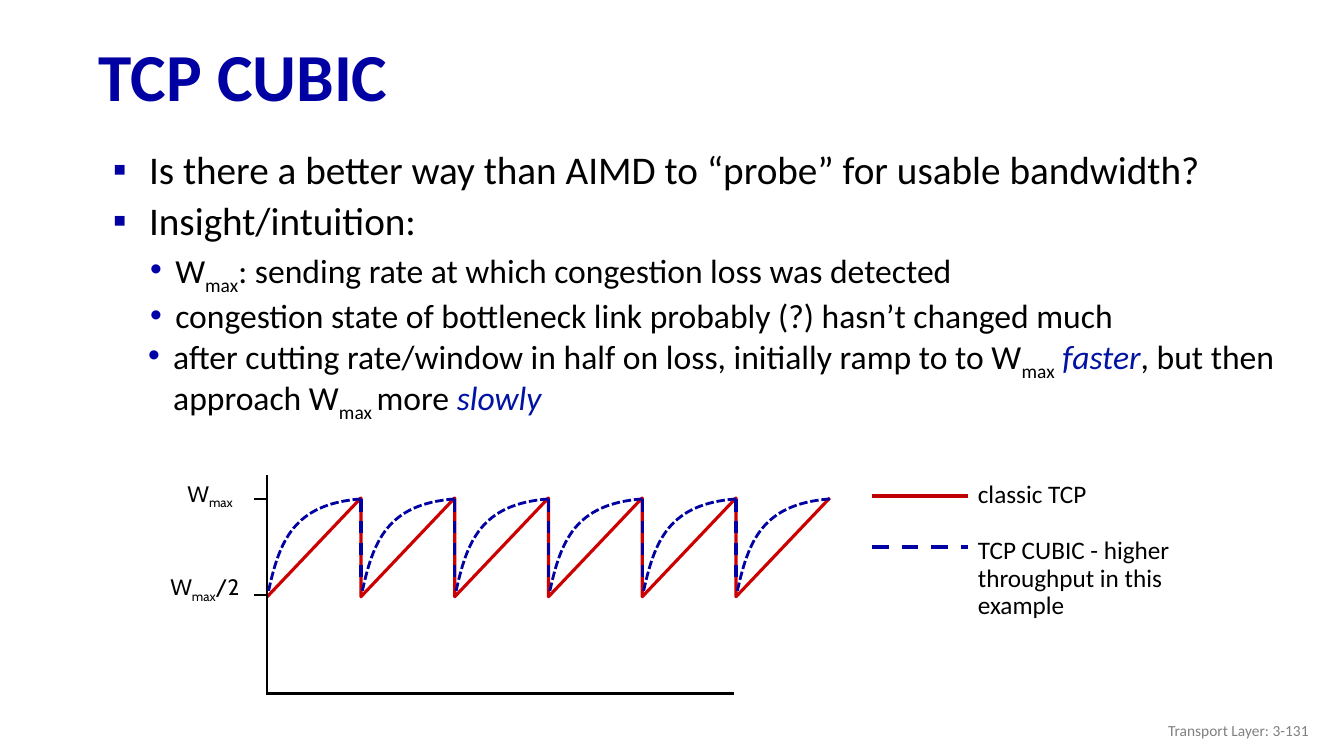
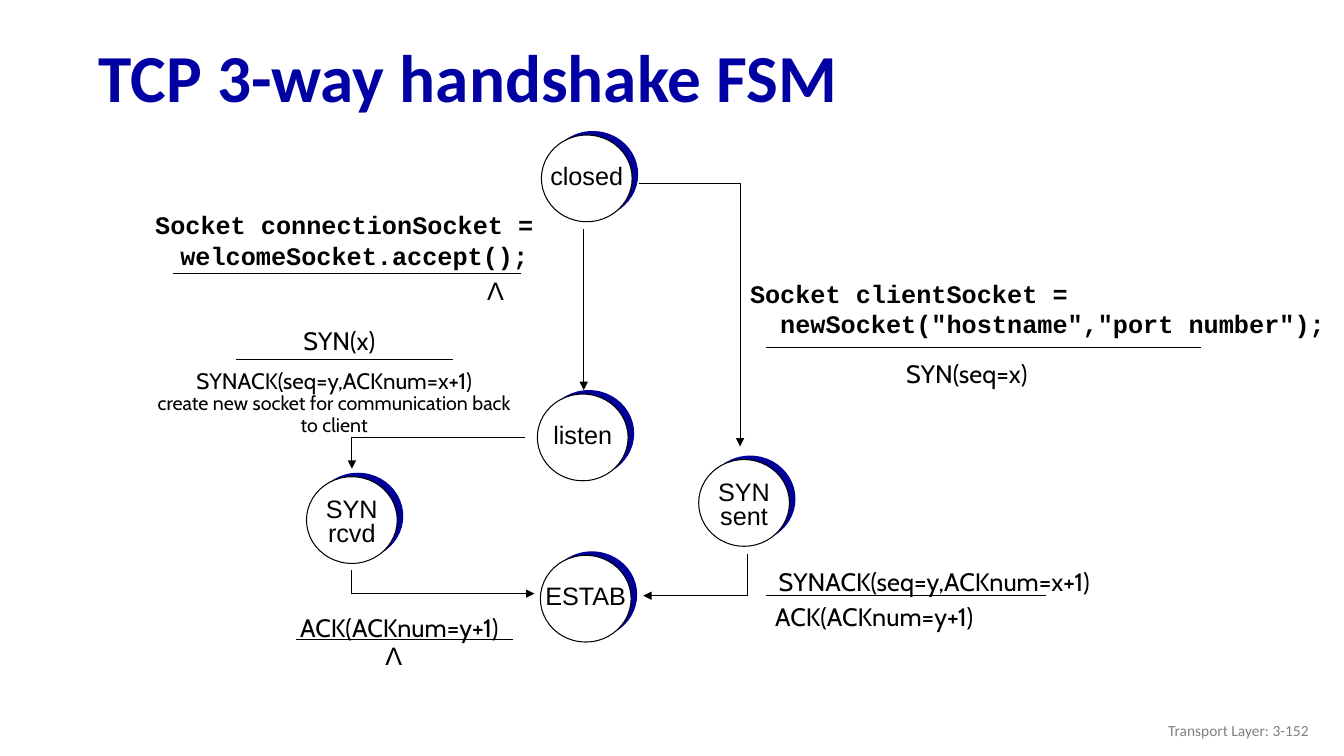
"""Build two transport-layer slides: TCP CUBIC and the TCP 3-way handshake FSM."""
from dataclasses import dataclass
from typing import NamedTuple, Optional

from lxml import etree
from pptx import Presentation
from pptx import util as u
from pptx.dml.color import RGBColor
from pptx.enum import dml, shapes, text
from pptx.oxml.ns import qn

COLORS = {
    "title": "0000A3", "sub_bullet": "0000A8", "emphasis": "0013A3",
    "ink": "000000", "paper": "FFFFFF", "footer": "808080",
    "classic": "CC0000", "classic_key": "C00000", "cubic": "0000A3",
    "state_shadow": "000099",
}
LEFT, CENTER, RIGHT = text.PP_ALIGN.LEFT, text.PP_ALIGN.CENTER, text.PP_ALIGN.RIGHT
DASH, SHORT_DASH = dml.MSO_LINE.DASH, dml.MSO_LINE.SQUARE_DOT
Point = tuple[float, float]


class Box(NamedTuple):
    left: float
    top: float
    width: float
    height: float

    def emu(self) -> list:
        return [u.Inches(side) for side in self]


class Run(NamedTuple):
    text: str
    subscript: bool = False
    emphasis: bool = False


class Bullet(NamedTuple):
    char: str
    color: str
    size: float
    margin: float
    hanging: float
    level: int
    before: float


@dataclass
class Para:
    runs: list[Run]
    bullet: Optional[Bullet] = None
    size: Optional[float] = None


@dataclass
class Label:
    box: Box
    words: str
    font: str = "Cabin"


@dataclass
class State:
    name: str
    left: float
    top: float


MAIN = Bullet("▪", "title", 28, 0.5, 0.36, 0, 10)
SUB = Bullet("•", "sub_bullet", 24, 0.76, 0.25, 1, 5)
W, MAX = Run("W"), Run("max", subscript=True)


def rgb(name: str) -> RGBColor:
    return RGBColor.from_string(COLORS[name])


def plain(words: str) -> list[Para]:
    return [Para([Run(line)]) for line in words.split("\n")]


def add_bullet(paragraph, bullet: Bullet) -> None:
    paragraph.level = bullet.level
    properties = paragraph._p.get_or_add_pPr()
    color = etree.SubElement(properties, qn("a:buClr"))
    etree.SubElement(color, qn("a:srgbClr")).set("val", COLORS[bullet.color])
    etree.SubElement(properties, qn("a:buFont")).set("typeface", "Arial")
    etree.SubElement(properties, qn("a:buChar")).set("char", bullet.char)


def write(frame, paras: list[Para], *, size: float = 18, font: str = "Calibri",
          color: str = "ink", bold: bool = False, align=LEFT, spacing: float = 1.0,
          anchor=text.MSO_ANCHOR.TOP, wrap: bool = True, grow: bool = False,
          hanging: float = 0) -> None:
    frame.word_wrap = wrap
    fit = text.MSO_AUTO_SIZE
    frame.auto_size = fit.SHAPE_TO_FIT_TEXT if grow else fit.NONE
    frame.vertical_anchor = anchor
    for index, para in enumerate(paras):
        paragraph = frame.add_paragraph() if index else frame.paragraphs[0]
        bullet = para.bullet
        margin, indent = (bullet.margin, bullet.hanging) if bullet else (hanging, hanging)
        if bullet:
            add_bullet(paragraph, bullet)
        if indent:
            properties = paragraph._p.get_or_add_pPr()
            properties.set("marL", str(u.Inches(margin)))
            properties.set("indent", str(-u.Inches(indent)))
        paragraph.alignment = align
        paragraph.line_spacing = spacing
        paragraph.space_before = u.Pt(bullet.before if bullet and index else 0)
        for part in para.runs:
            run = paragraph.add_run()
            run.text = part.text
            run.font.size = u.Pt(para.size or (bullet.size if bullet else size))
            run.font.name = font
            run.font.bold = bold
            run.font.color.rgb = rgb("emphasis" if part.emphasis else color)
            if part.emphasis:
                run.font.italic = True
            if part.subscript:
                run._r.get_or_add_rPr().set("baseline", "-25000")


def add_text(slide, box: Box, paras: list[Para], **style) -> None:
    write(slide.shapes.add_textbox(*box.emu()).text_frame, paras, **style)


def add_label(slide, label: Label) -> None:
    add_text(slide, label.box, plain(label.words), font=label.font,
             align=CENTER, wrap=False, grow=True)


def format_line(stroke, color: str, width: float, dash, arrow: bool) -> None:
    stroke.line.color.rgb = rgb(color)
    stroke.line.width = u.Pt(width)
    if dash is not None:
        stroke.line.dash_style = dash
    if arrow:
        outline = stroke._element.spPr.find(qn("a:ln"))
        etree.SubElement(outline, qn("a:tailEnd")).set("type", "triangle")


def add_line(slide, start: Point, end: Point, color: str = "ink", width: float = 0.75,
             dash=None, arrow: bool = False) -> None:
    ends = [u.Inches(value) for value in (*start, *end)]
    line = slide.shapes.add_connector(shapes.MSO_CONNECTOR.STRAIGHT, *ends)
    format_line(line, color, width, dash, arrow)
    etree.SubElement(line._element.spPr, qn("a:effectLst"))


def add_outline(slide, points: list[Point], color: str = "ink", width: float = 0.75,
                dash=None, arrow: bool = False, curved: bool = False) -> None:
    corners = [(u.Inches(x), u.Inches(y)) for x, y in points]
    builder = slide.shapes.build_freeform(*corners[0])
    builder.add_line_segments(corners[1:], close=False)
    outline = builder.convert_to_shape()
    outline.fill.background()
    outline.shadow.inherit = False
    format_line(outline, color, width, dash, arrow)
    if curved:
        track = outline._element.spPr.find(".//" + qn("a:path"))
        segments = track.findall(qn("a:lnTo"))
        curve = etree.SubElement(track, qn("a:cubicBezTo"))
        for segment in segments:
            curve.append(segment[0])
            track.remove(segment)


def add_slide(deck, title: str, title_top: float, number: str):
    slide = deck.slides.add_slide(deck.slide_layouts[5])
    heading = slide.shapes.title
    heading.left, heading.top, heading.width, heading.height = Box(
        0.88, title_top, 12.46, 0.98).emu()
    write(heading.text_frame, plain(title), size=48, color="title", bold=True,
          spacing=0.9, anchor=text.MSO_ANCHOR.MIDDLE)
    add_text(slide, Box(10.08, 7.05, 3, 0.4), plain(f"Transport Layer: {number}"),
             size=11, color="footer", align=RIGHT, anchor=text.MSO_ANCHOR.MIDDLE)
    return slide


def add_window_graph(slide) -> None:
    origin, period, cycles, peak, trough = 2.65, 0.93, 6, 4.94, 5.92
    peaks = [origin + period * (cycle + 1) for cycle in range(cycles)]
    sawtooth = [(origin, trough)]
    for x in peaks:
        sawtooth += [(x, peak), (x, trough)]
    add_outline(slide, sawtooth[:-1], "classic", 2.25)
    add_line(slide, (2.64, 6.88), (7.28, 6.88), width=1.5)
    add_line(slide, (origin, 4.71), (origin, 6.89), width=1.5)
    for tick in (4.95, 5.9):
        add_line(slide, (2.52, tick), (2.64, tick), width=1.5)
    ramp = [(0, 0), (-0.67, 0.05), (-0.81, 0.42), (-0.92, 0.93)]
    for x in peaks:
        add_outline(slide, [(x + dx, 4.95 + dy) for dx, dy in ramp],
                    "cubic", 2, SHORT_DASH, curved=True)
        if x != peaks[-1]:
            add_line(slide, (x, 4.95), (x, 5.82), "cubic", 2.25, DASH)
    for box, runs in ((Box(1.76, 4.71, 0.68, 0.37), [W, MAX]),
                      (Box(1.59, 5.64, 0.89, 0.37), [W, MAX, Run("/2")])):
        add_text(slide, box, [Para(runs)], size=16, font="Cabin", wrap=False, grow=True)


def build_cubic(deck) -> None:
    slide = add_slide(deck, "TCP CUBIC", 0.3, "3-131")
    body = (
        (Box(0.88, 1.44, 12.21, 5.08), [Para([Run(
            "Is there a better way than AIMD to “probe” for usable bandwidth?")], MAIN)]),
        (Box(0.88, 1.95, 12.21, 5.08), [
            Para([Run("Insight/intuition:")], MAIN),
            Para([W, MAX, Run(": sending rate at which congestion loss was detected")], SUB),
            Para([Run("congestion state of bottleneck link probably (?) "
                      "hasn’t changed much")], SUB)]),
        (Box(0.86, 3.29, 12.21, 0.98), [Para([
            Run("after cutting rate/window in half on loss, initially ramp to to W"),
            MAX, Run(" "), Run("faster", emphasis=True), Run(", but then approach W"),
            Run("max ", subscript=True), Run("more "), Run("slowly", emphasis=True)], SUB)]),
    )
    for box, paras in body:
        add_text(slide, box, paras, spacing=0.9)
    add_window_graph(slide)
    add_line(slide, (8.65, 4.92), (9.6, 4.92), "classic_key", 3)
    add_line(slide, (8.65, 5.43), (9.6, 5.43), "cubic", 3, DASH)
    add_text(slide, Box(9.6, 4.7, 1.29, 0.4), plain("classic TCP"), wrap=False, grow=True)
    add_text(slide, Box(9.6, 5.29, 2.39, 0.92),
             plain("TCP CUBIC - higher throughput in this example"), spacing=0.9, grow=True)


def add_state(slide, state: State) -> None:
    for fill, dx, dy in (("state_shadow", 0.06, -0.04), ("paper", 0, 0)):
        disc = slide.shapes.add_shape(
            shapes.MSO_SHAPE.OVAL, *Box(state.left + dx, state.top + dy, 0.9, 0.86).emu())
        disc.shadow.inherit = False
        disc.fill.solid()
        disc.fill.fore_color.rgb = rgb(fill)
        disc.line.fill.background()
    format_line(disc, "ink", 0.75, None, False)
    disc.text_frame.margin_top = u.Inches(0.11 if "\n" in state.name else 0.05)
    write(disc.text_frame, plain(state.name), font="Arial", align=CENTER, spacing=0.8,
          anchor=text.MSO_ANCHOR.MIDDLE, wrap=False)


def build_handshake(deck) -> None:
    slide = add_slide(deck, "TCP 3-way handshake FSM", 0.31, "3-152")
    for state in (State("closed", 5.37, 1.34), State("listen", 5.33, 3.91),
                  State("SYN\nrcvd", 3.04, 4.73), State("SYN\nsent", 6.93, 4.56),
                  State("ESTAB", 5.36, 5.51)):
        add_state(slide, state)
    add_line(slide, (5.79, 2.27), (5.79, 3.87), arrow=True)
    for bend in ([(6.34, 1.82), (7.34, 1.82), (7.34, 4.43)],
                 [(5.21, 4.34), (3.49, 4.34), (3.49, 4.65)],
                 [(3.49, 5.66), (3.49, 5.89), (5.3, 5.89)],
                 [(7.41, 5.5), (7.41, 5.91), (6.38, 5.91)]):
        add_outline(slide, bend, arrow=True)
    for left, right, y in ((7.6, 11.91, 3.45), (1.72, 5.17, 2.71), (2.34, 4.49, 3.57),
                           (7.6, 10.37, 5.91), (2.94, 5.09, 6.34)):
        add_line(slide, (left, y), (right, y))
    for box, code in (
            (Box(7.34, 2.71, 6.05, 0.71),
             'Socket clientSocket =\n  newSocket("hostname","port number");'),
            (Box(1.44, 2.03, 4.58, 0.71),
             "Socket connectionSocket = welcomeSocket.accept();")):
        add_text(slide, box, plain(code), font="Courier New", bold=True, grow=True,
                 hanging=0.25)
    for label in (Label(Box(4.73, 2.68, 0.37, 0.4), "Λ", "Arial"),
                  Label(Box(3.72, 6.3, 0.37, 0.4), "Λ", "Arial"),
                  Label(Box(8.82, 3.51, 1.54, 0.4), "SYN(seq=x)"),
                  Label(Box(2.88, 3.18, 0.97, 0.4), "SYN(x)"),
                  Label(Box(7.44, 5.57, 3.65, 0.4), "SYNACK(seq=y,ACKnum=x+1)"),
                  Label(Box(7.46, 5.92, 2.42, 0.4), "ACK(ACKnum=y+1)"),
                  Label(Box(2.75, 6.03, 2.42, 0.4), "ACK(ACKnum=y+1)")):
        add_label(slide, label)
    add_text(slide, Box(1.43, 3.62, 3.77, 0.76), [
        Para([Run("SYNACK(seq=y,ACKnum=x+1)")], size=16),
        Para([Run("create new socket for communication back to client")], size=14)],
        font="Cabin", align=CENTER, spacing=0.9, grow=True)


def main() -> None:
    deck = Presentation()
    deck.slide_width, deck.slide_height = u.Inches(13.33), u.Inches(7.5)
    build_cubic(deck)
    build_handshake(deck)
    deck.save("out.pptx")


if __name__ == "__main__":
    main()
